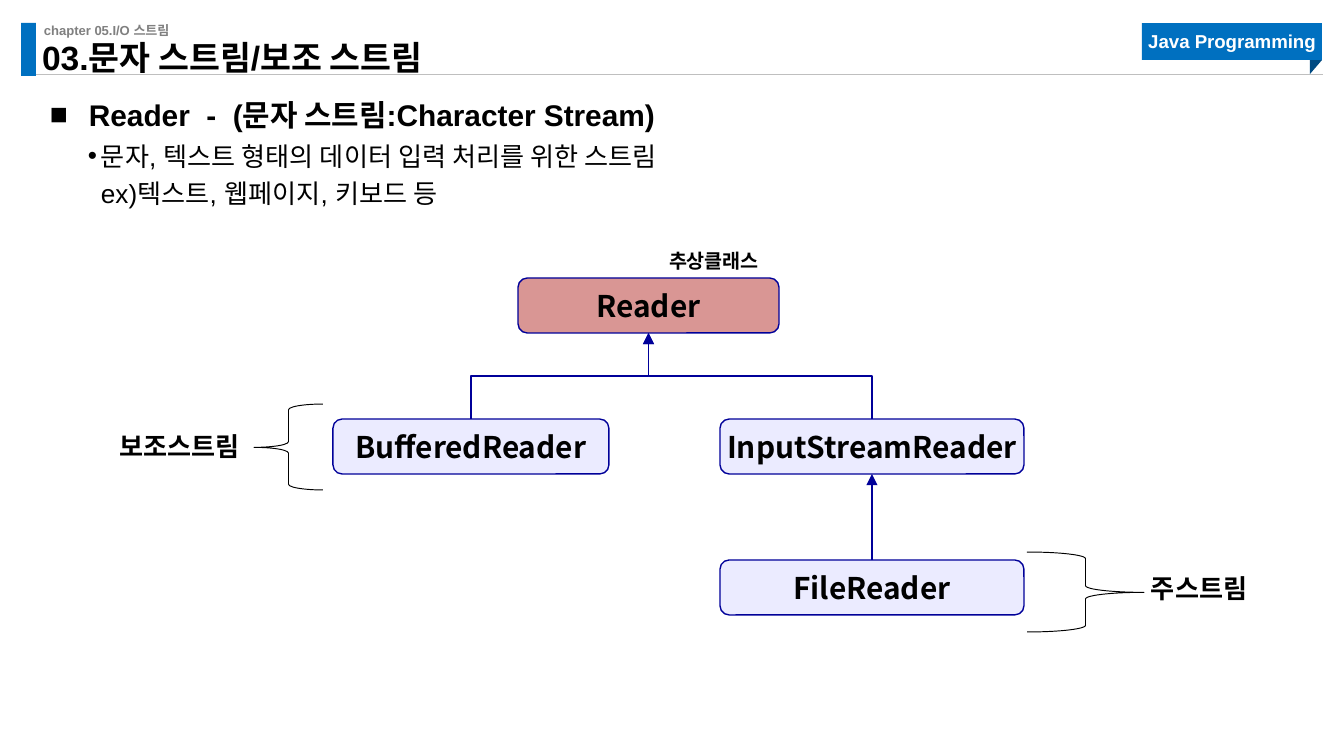
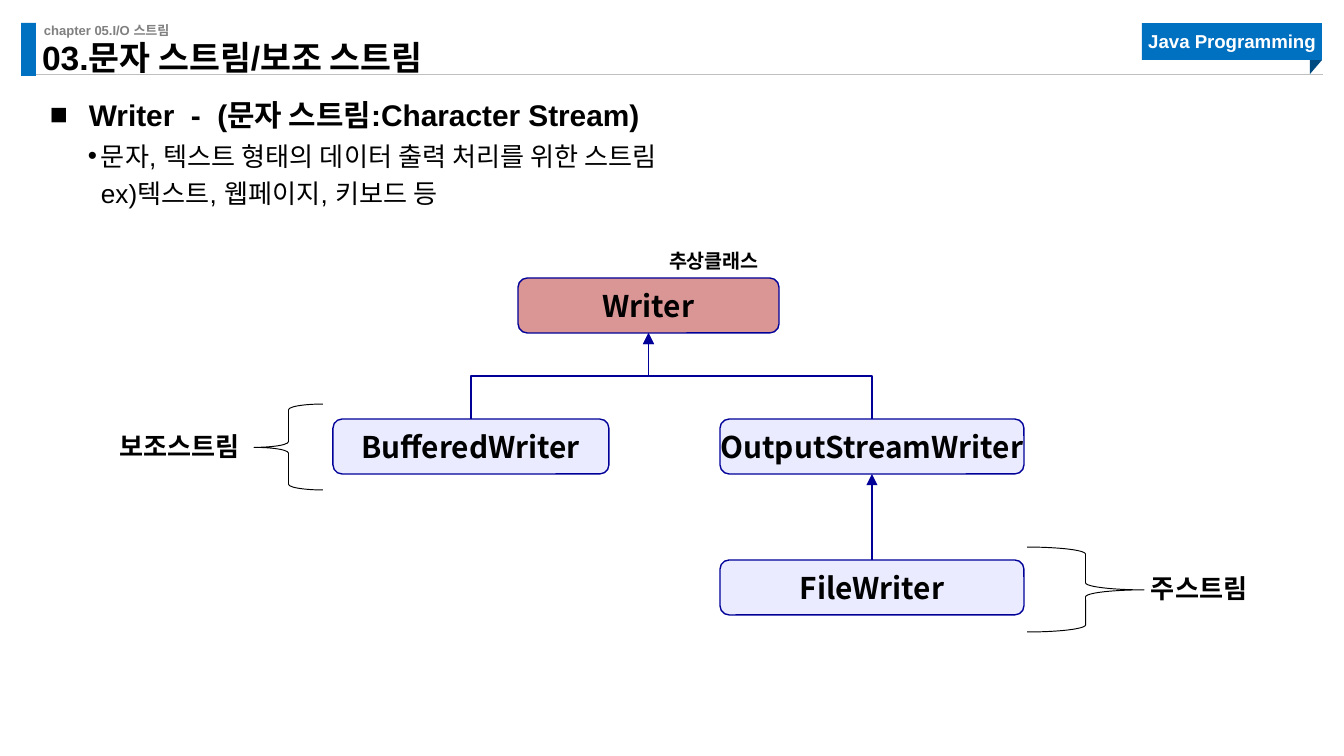
from pptx import Presentation
from pptx.dml.color import RGBColor
from pptx.enum.shapes import MSO_CONNECTOR, MSO_SHAPE
from pptx.enum.text import MSO_ANCHOR, PP_ALIGN
from pptx.oxml.ns import qn
from pptx.util import Emu, Pt
from lxml.etree import SubElement

BLUE = RGBColor(0x00, 0x70, 0xC0)
DARK_BLUE = RGBColor(0x00, 0x4A, 0x82)
NAVY = RGBColor(0x00, 0x00, 0x99)
LAVENDER = RGBColor(0xEB, 0xEB, 0xFF)
ROSE = RGBColor(0xD9, 0x96, 0x94)
RULE_GRAY = RGBColor(0xBF, 0xBF, 0xBF)
TEXT_GRAY = RGBColor(0x80, 0x80, 0x80)
BLACK = RGBColor(0, 0, 0)
WHITE = RGBColor(0xFF, 0xFF, 0xFF)

ARIAL = "Arial"
NOTO = "Noto Sans CJK KR"

ROW_TOP, ROW_STEP, BOX_H = 278, 141, 55


def px(n):
    return Emu(round(n * 914400 / 134.4))


def frame(x, y, w, h):
    return px(x), px(y), px(w), px(h)


def add_run(p, text, size, font, color, bold):
    r = p.add_run()
    r.text = text
    r.font.size = Pt(size)
    r.font.bold = bold
    r.font.name = font
    r.font.color.rgb = color
    SubElement(r.font._element, qn("a:ea"), typeface=NOTO)


def write(sp, lines, size, font, color=BLACK, bold=True, inset=0):
    tf = sp.text_frame
    tf.margin_left = tf.margin_right = px(inset)
    tf.margin_top = tf.margin_bottom = px(inset / 2)
    p = tf.paragraphs[0]
    for i, line in enumerate(lines):
        if i:
            p.add_line_break()
        add_run(p, line, size, font, color, bold)
    return p


def add_text(slide, box, lines, size, font, color=BLACK, bold=True, inset=0):
    sp = slide.shapes.add_textbox(*frame(*box))
    sp.text_frame.word_wrap = True
    return sp, write(sp, lines, size, font, color, bold, inset)


def add_bullet(slide, box, lines, char, size, bold, margin, hang, spacing):
    p = add_text(slide, box, lines, size, ARIAL, bold=bold)[1]
    p.line_spacing = spacing
    pPr = p._p.get_or_add_pPr()
    pPr.set("marL", str(px(margin)))
    pPr.set("indent", str(-px(hang)))
    SubElement(pPr, qn("a:buFont"), typeface=ARIAL)
    SubElement(pPr, qn("a:buChar"), char=char)


def add_shape(slide, kind, box, fill=None, line=None, width=0.75):
    sp = slide.shapes.add_shape(kind, *frame(*box))
    sp.shadow.inherit = False
    if fill is None:
        sp.fill.background()
    else:
        sp.fill.solid()
        sp.fill.fore_color.rgb = fill
    if line is None:
        sp.line.fill.background()
    else:
        sp.line.color.rgb = line
        sp.line.width = Pt(width)
    return sp


def add_line(slide, kind, x1, y1, x2, y2, color, width):
    cxn = slide.shapes.add_connector(kind, px(x1), px(y1), px(x2), px(y2))
    cxn.line.color.rgb = color
    cxn.line.width = Pt(width)
    SubElement(cxn._element.spPr, qn("a:effectLst"))
    return cxn


def add_class_box(slide, x, row, w, name, fill=LAVENDER):
    box = (x, ROW_TOP + row * ROW_STEP, w, BOX_H)
    sp = add_shape(slide, MSO_SHAPE.ROUNDED_RECTANGLE, box, fill, NAVY)
    p = write(sp, [name], 16, NOTO)
    p.alignment = PP_ALIGN.CENTER
    sp.text_frame.word_wrap = False
    sp.text_frame.vertical_anchor = MSO_ANCHOR.MIDDLE
    return box


def add_inheritance(slide, child, parent):
    x1, y1 = child[0] + child[2] / 2, child[1]
    x2, y2 = parent[0] + parent[2] / 2, parent[1] + parent[3]
    cx, cy = (x1 + x2) / 2, (y1 + y2) / 2
    rise, run = (y1 - y2) / 2, (x1 - x2) / 2
    cxn = add_line(slide, MSO_CONNECTOR.ELBOW, cx - rise, cy + run,
                   cx + rise, cy - run, NAVY, 0.75)
    cxn._element.spPr.find(qn("a:xfrm")).set("rot", str(270 * 60000))
    SubElement(cxn.line._get_or_add_ln(), qn("a:tailEnd"), type="triangle")


def add_brace(slide, box, opens_left):
    sp = add_shape(slide, MSO_SHAPE.RIGHT_BRACE, box, line=BLACK, width=0.5)
    sp.adjustments[0], sp.adjustments[1] = 0.083, 0.496
    sp.rotation = 180
    if opens_left:
        sp._element.spPr.find(qn("a:xfrm")).set("flipH", "1")


def add_label(slide, box, text, size):
    p = add_text(slide, box, [text], size, NOTO, inset=13)[1]
    p.space_before = Pt(round(size * 0.2, 1))


def add_header(slide):
    add_line(slide, MSO_CONNECTOR.STRAIGHT, 21, 75, 1323, 75, RULE_GRAY, 0.5)
    add_shape(slide, MSO_SHAPE.RECTANGLE, (21, 23, 15, 53), BLUE)
    add_text(slide, (44, 22, 434, 16), ["chapter 05.I/O 스트림"], 7, ARIAL, TEXT_GRAY)
    tag = add_shape(slide, MSO_SHAPE.RECTANGLE, (1142, 23, 180, 37), BLUE)
    p = write(tag, ["Java Programming"], 10, ARIAL, WHITE)
    p.alignment = PP_ALIGN.CENTER
    tag.text_frame.vertical_anchor = MSO_ANCHOR.MIDDLE
    fold = add_shape(slide, MSO_SHAPE.RIGHT_TRIANGLE, (1309, 61, 14, 12), DARK_BLUE)
    fold.rotation = 90
    title, p = add_text(slide, (42, 47, 571, 31), ["03.문자 스트림/보조 스트림"], 18, ARIAL)
    title.text_frame.vertical_anchor = MSO_ANCHOR.BOTTOM
    p.line_spacing = 0.9


def add_stream_slide(prs, base, bridge, direction, brace_top):
    slide = prs.slides.add_slide(prs.slide_layouts[6])
    add_header(slide)
    add_bullet(slide, (50, 79, 814, 44), [f"{base}  -  (문자 스트림:Character Stream)"],
               "■", 16, True, 39, 39, 1.5)
    add_bullet(slide, (47, 134, 872, 78),
               [f"문자, 텍스트 형태의 데이터 {direction} 처리를 위한 스트림",
                "ex)텍스트, 웹페이지, 키보드 등"],
               "•", 14, False, 54, 13, 1.2)

    root = add_class_box(slide, 518, 0, 261, base, ROSE)
    buffered = add_class_box(slide, 333, 1, 276, f"Buffered{base}")
    stream = add_class_box(slide, 720, 1, 304, f"{bridge}Stream{base}")
    file = add_class_box(slide, 720, 2, 304, f"File{base}")
    for child, parent in ((buffered, root), (stream, root), (file, stream)):
        add_inheritance(slide, child, parent)

    add_label(slide, (656, 242, 128, 51), "추상클래스", 10.5)
    add_brace(slide, (1027, brace_top, 117, 632 - brace_top), True)
    add_label(slide, (1138, 566, 153, 46), "주스트림", 14)
    add_brace(slide, (254, 404, 69, 86), False)
    add_label(slide, (106, 424, 159, 46), "보조스트림", 14)


def main():
    prs = Presentation()
    prs.slide_width, prs.slide_height = px(1344), px(756)
    add_stream_slide(prs, "Reader", "Input", "입력", 552)
    add_stream_slide(prs, "Writer", "Output", "출력", 547)
    prs.save("out.pptx")


main()
